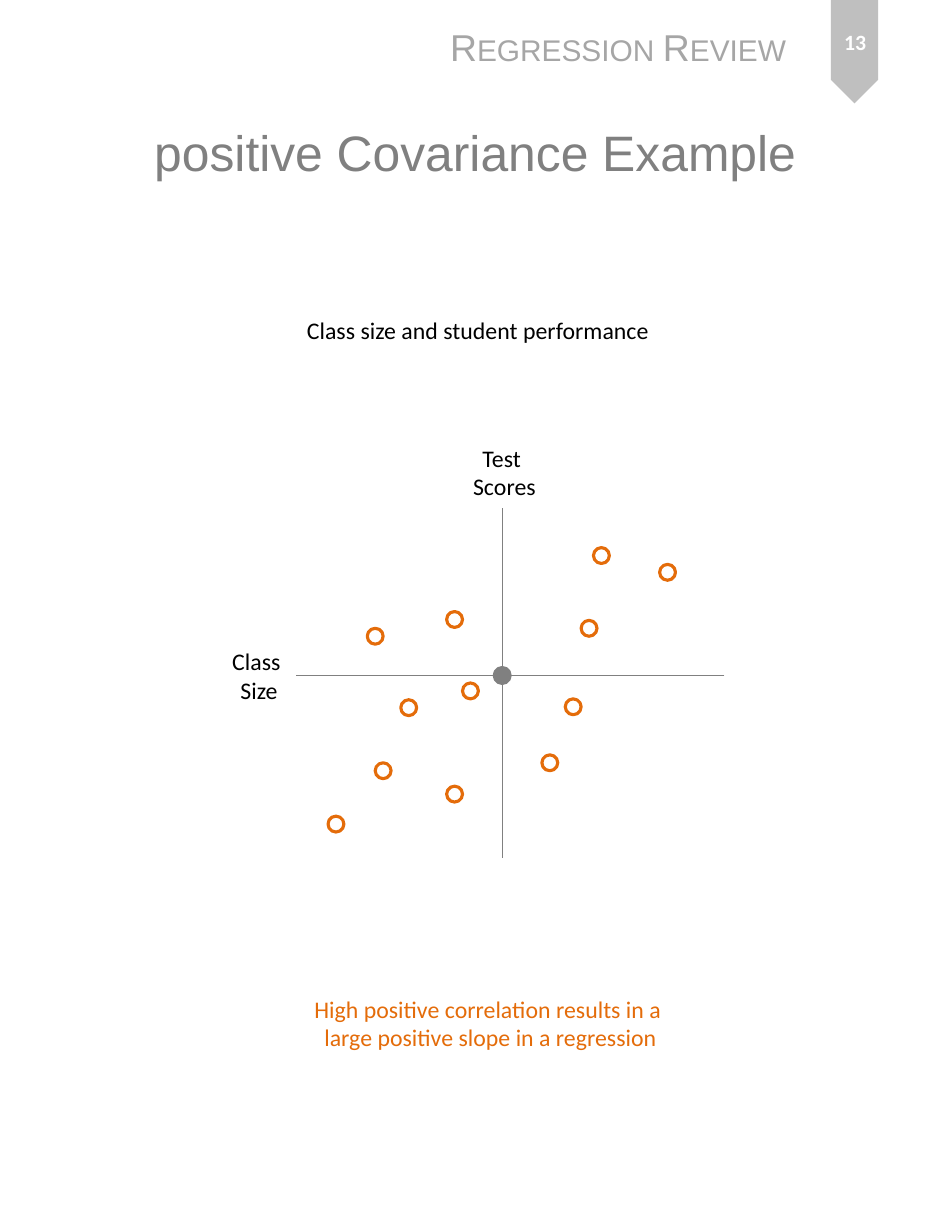
from dataclasses import dataclass

from lxml import etree
from pptx import Presentation
from pptx import util as u
from pptx.dml.color import RGBColor
from pptx.enum import shapes, text
from pptx.oxml import ns


@dataclass(frozen=True)
class Theme:
    gray: str = "808080"
    light_gray: str = "A6A6A6"
    tab_gray: str = "BFBFBF"
    orange: str = "E46C0A"
    black: str = "000000"
    white: str = "FFFFFF"
    heading_font: str = "Arial"
    body_font: str = "Calibri"
    title_size: float = 32
    header_size: float = 24
    body_size: float = 15.3
    number_size: float = 14
    axis_width: float = 0.75
    marker_width: float = 2
    marker_diameter: float = 0.36


class SlideBuilder:
    def __init__(self, slide, theme):
        self.slide = slide
        self.theme = theme

    def add_shape(self, kind, box, fill=None, line=None, rotation=0):
        shape = self.slide.shapes.add_shape(kind, *map(u.Cm, box))
        shape.shadow.inherit = False
        shape.rotation = rotation
        if fill:
            shape.fill.solid()
            shape.fill.fore_color.rgb = RGBColor.from_string(fill)
        else:
            shape.fill.background()
        if line:
            shape.line.color.rgb = RGBColor.from_string(line)
            shape.line.width = u.Pt(self.theme.marker_width)
        else:
            shape.line.fill.background()

    def add_marker(self, center, color, fill=None):
        diameter = self.theme.marker_diameter
        left, top = (value - diameter / 2 for value in center)
        box = (left, top, diameter, diameter)
        self.add_shape(shapes.MSO_SHAPE.OVAL, box, fill, color)

    def add_axis(self, start, end):
        points = map(u.Cm, (*start, *end))
        line = self.slide.shapes.add_connector(shapes.MSO_CONNECTOR.STRAIGHT, *points)
        line.line.color.rgb = RGBColor.from_string(self.theme.gray)
        line.line.width = u.Pt(self.theme.axis_width)
        etree.SubElement(line._element.spPr, ns.qn("a:effectLst"))

    def add_text(self, box, paragraphs, color, size=None, font=None, bold=False,
                 centered=True, wrap=False, middle=False, small_caps=False):
        frame = self.slide.shapes.add_textbox(*map(u.Cm, box)).text_frame
        anchors = text.MSO_ANCHOR
        frame_format = {
            "word_wrap": wrap,
            "vertical_anchor": anchors.MIDDLE if middle else anchors.TOP,
        }
        for name, value in frame_format.items():
            setattr(frame, name, value)
        font_format = {
            "name": font or self.theme.body_font,
            "size": u.Pt(size or self.theme.body_size),
            "bold": bold,
        }
        for index, content in enumerate(paragraphs):
            paragraph = frame.add_paragraph() if index else frame.paragraphs[0]
            paragraph.text = content
            paragraph.alignment = text.PP_ALIGN.CENTER if centered else text.PP_ALIGN.LEFT
            for run in paragraph.runs:
                for name, value in font_format.items():
                    setattr(run.font, name, value)
                run.font.color.rgb = RGBColor.from_string(color)
                if small_caps:
                    run._r.get_or_add_rPr().set("cap", "small")


def main():
    theme = Theme()
    presentation = Presentation()
    presentation.slide_width = u.Cm(21.59)
    presentation.slide_height = u.Cm(27.94)
    slide = presentation.slides.add_slide(presentation.slide_layouts[6])
    builder = SlideBuilder(slide, theme)

    builder.add_shape(shapes.MSO_SHAPE.PENTAGON, (18.21, 0.64, 2.34, 1.07),
                      fill=theme.tab_gray, rotation=90)
    builder.add_text((1.07, 1.12, 19.43, 4.65), ["positive Covariance Example"],
                     theme.gray, theme.title_size, theme.heading_font,
                     wrap=True, middle=True)

    origin_x, origin_y = 11.39, 15.32
    builder.add_axis((origin_x, 11.53), (origin_x, 19.46))
    builder.add_axis((16.43, origin_y), (6.71, origin_y))
    builder.add_marker((origin_x, origin_y), theme.gray, fill=theme.gray)

    observations = [
        (13.36, 14.25), (13.64, 12.6), (8.69, 17.48), (9.27, 16.05),
        (10.67, 15.67), (8.51, 14.43), (10.31, 14.05), (13, 16.03),
        (12.47, 17.3), (10.31, 18.01), (7.62, 18.69), (15.14, 12.98),
    ]
    for observation in observations:
        builder.add_marker(observation, theme.orange)

    builder.add_text(
        (6.83, 22.43, 8.59, 1.57),
        ["High positive correlation results in a \nlarge positive slope in a regression"],
        theme.orange)
    builder.add_text((5, 14.55, 1.75, 1.57), ["Class \nSize"], theme.black)
    builder.add_text((10.46, 9.93, 1.96, 1.57), ["Test ", "Scores"], theme.black)
    builder.add_text((6.71, 7.04, 8.33, 0.91), ["Class size and student performance"],
                     theme.black, centered=False)
    builder.add_text((18.44, 0.2, 1.91, 1.5), ["13"], theme.white, theme.number_size,
                     bold=True, wrap=True, middle=True)
    builder.add_text((9.96, 0.43, 8.26, 1.27), ["Regression Review"], theme.light_gray,
                     theme.header_size, theme.heading_font, centered=False,
                     wrap=True, small_caps=True)

    presentation.save("out.pptx")


if __name__ == "__main__":
    main()
